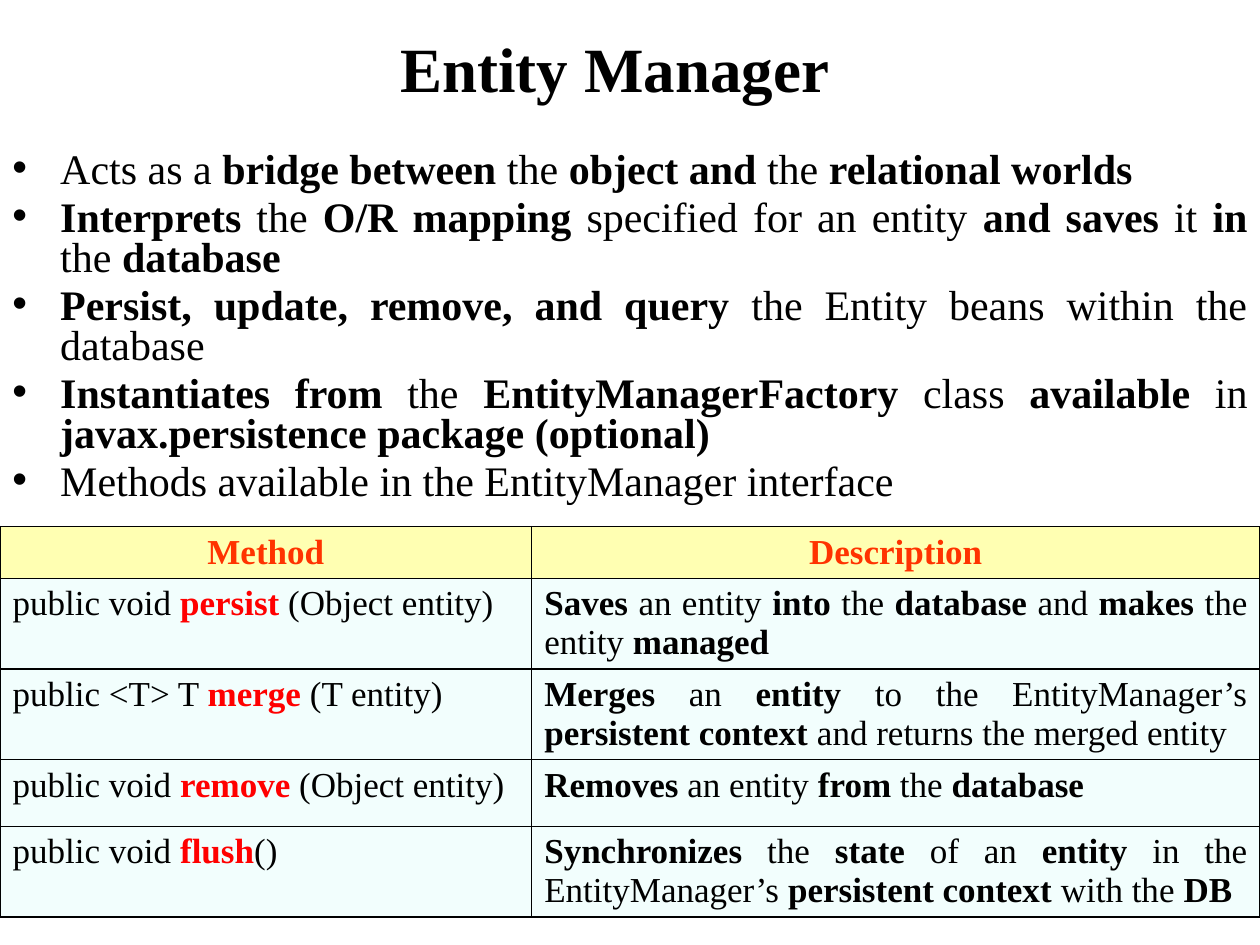
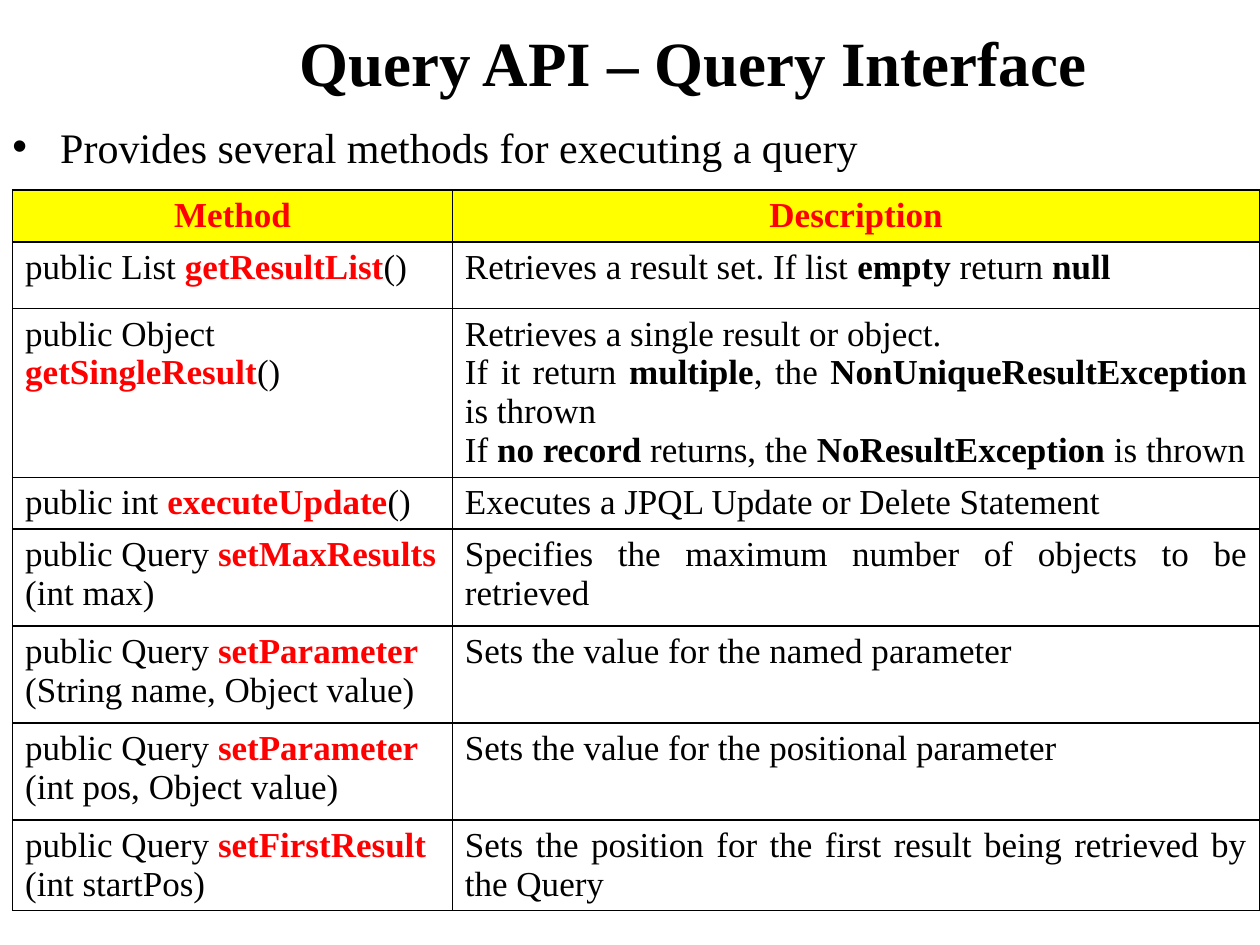
from lxml import etree
from pptx import Presentation
from pptx.dml.color import RGBColor
from pptx.enum.text import MSO_ANCHOR, PP_ALIGN
from pptx.oxml.ns import qn
from pptx.util import Inches, Pt

CENTER, JUSTIFY, LEFT = PP_ALIGN.CENTER, PP_ALIGN.JUSTIFY, PP_ALIGN.LEFT
MIDDLE = MSO_ANCHOR.MIDDLE

FONT = "Times New Roman"
BLACK = RGBColor(0x00, 0x00, 0x00)
WHITE = RGBColor(0xFF, 0xFF, 0xFF)
RED = RGBColor(0xFF, 0x00, 0x00)
ORANGE_RED = RGBColor(0xFF, 0x33, 0x00)
PALE_YELLOW = RGBColor(0xFF, 0xFF, 0x66)
YELLOW = RGBColor(0xFF, 0xFF, 0x00)
PALE_CYAN = RGBColor(0xE6, 0xFE, 0xFD)

TITLE_SIZE, BULLET_SIZE, CELL_SIZE = Pt(36), Pt(24), Pt(20)
TITLE_SPACING, BULLET_SPACING, CELL_SPACING = 0.85, 0.8, Pt(22.1)
TITLE_ONLY = 5

# Text between asterisks is bold; \v breaks a line, \n starts a paragraph
MANAGER_BULLETS = [
    "Acts as a *bridge between* the *object and* the *relational worlds*",
    "*Interprets* the *O/R mapping* specified for an entity *and saves* it *in* the *database*",
    "*Persist, update, remove, and query* the Entity beans within the database",
    "*Instantiates from* the *EntityManagerFactory* class *available* in "
    "*javax.persistence package (optional)*",
    "Methods available in the EntityManager interface",
]
# Each row: height, method, description
MANAGER_METHODS = [
    (0.41, "*Method*", "*Description*"),
    (0.72, "public void *persist* (Object entity)",
     "*Saves* an entity *into* the *database* and *makes* the entity *managed*"),
    (0.72, "public <T> T *merge* (T entity)",
     "*Merges* an *entity* to the EntityManager’s *persistent context* "
     "and returns the merged entity"),
    (0.53, "public void *remove* (Object entity)",
     "*Removes* an entity *from* the *database*"),
    (0.72, "public void *flush*()",
     "*Synchronizes* the *state* of an *entity* in the EntityManager’s "
     "*persistent context* with the *DB*"),
]
QUERY_BULLETS = ["Provides several methods for executing a query"]
QUERY_METHODS = [
    (0.41, "*Method*", "*Description*"),
    (0.53, "public List *getResultList*()",
     "Retrieves a result set. If list *empty* return *null*"),
    (1.34, "public Object \v*getSingleResult*()",
     "Retrieves a single result or object. \n"
     "If it return *multiple*, the *NonUniqueResultException* is thrown\n"
     "If *no record* returns, the *NoResultException* is thrown"),
    (0.41, "public int *executeUpdate*()", "Executes a JPQL Update or Delete Statement"),
    (0.77, "public Query *setMaxResults*\v(int max)",
     "Specifies the maximum number of objects to be retrieved"),
    (0.77, "public Query *setParameter*\v(String name, Object value)",
     "Sets the value for the named parameter"),
    (0.77, "public Query *setParameter*\v(int pos, Object value)",
     "Sets the value for the positional parameter"),
    (0.72, "public Query *setFirstResult* (int startPos)",
     "Sets the position for the first result being retrieved by the Query"),
]


def write_spans(para, text, size, bold_color):
    for index, piece in enumerate(text.split("*")):
        is_bold = index % 2 == 1
        for line_index, line in enumerate(piece.split("\v")):
            if line_index:
                para.add_line_break()
            if not line:
                continue
            span = para.add_run()
            span.text = line
            span.font.name, span.font.size, span.font.bold = FONT, size, is_bold
            span.font.color.rgb = bold_color if is_bold else BLACK


def write_paragraphs(frame, texts, size, align, spacing, bold_color=BLACK):
    for index, text in enumerate(texts):
        para = frame.add_paragraph() if index else frame.paragraphs[0]
        para.alignment = align
        para.line_spacing = spacing
        write_spans(para, text, size, bold_color)


def add_title(page, text, box):
    title = page.shapes.title
    title.left, title.top, title.width, title.height = map(Inches, box)
    title.text_frame.vertical_anchor = MIDDLE
    write_paragraphs(title.text_frame, [f"*{text}*"], TITLE_SIZE, CENTER, TITLE_SPACING)


def add_bullets(page, texts, box):
    frame = page.shapes.add_textbox(*map(Inches, box)).text_frame
    frame.word_wrap = True
    write_paragraphs(frame, texts, BULLET_SIZE, JUSTIFY, BULLET_SPACING)
    for para in frame.paragraphs:
        para.space_before = Pt(4.2)
        props = para._p.get_or_add_pPr()
        props.set("marL", str(Inches(0.38)))
        props.set("indent", str(-Inches(0.38)))
        etree.SubElement(props, qn("a:buFont"), typeface="Arial")
        etree.SubElement(props, qn("a:buChar"), char="•")


def style_cell(cell, fill, opacity):
    props = cell._tc.get_or_add_tcPr()
    for side in ("a:lnL", "a:lnR", "a:lnT", "a:lnB"):
        line = etree.SubElement(props, qn(side), w=str(Pt(1)))
        solid = etree.SubElement(line, qn("a:solidFill"))
        etree.SubElement(solid, qn("a:srgbClr"), val=str(BLACK))
    cell.fill.solid()
    cell.fill.fore_color.rgb = fill
    if opacity < 100:
        color = props.find(qn("a:solidFill")).find(qn("a:srgbClr"))
        etree.SubElement(color, qn("a:alpha"), val=str(opacity * 1000))


def add_method_table(page, methods, corner, widths, header_color, header_fill,
                     body_fill, opacity=100):
    box = (*corner, sum(widths), sum(height for height, *_ in methods))
    table = page.shapes.add_table(len(methods), 2, *map(Inches, box)).table
    table.first_row = table.horz_banding = False
    for column, width in zip(table.columns, widths):
        column.width = Inches(width)
    for row_index, (height, *texts) in enumerate(methods):
        row = table.rows[row_index]
        row.height = Inches(height)
        is_header = row_index == 0
        for cell, text, align, accent in zip(row.cells, texts, (LEFT, JUSTIFY), (RED, BLACK)):
            if is_header:
                align, accent = CENTER, header_color
            write_paragraphs(cell.text_frame, text.split("\n"), CELL_SIZE, align,
                             CELL_SPACING, accent)
            style_cell(cell, header_fill if is_header else body_fill, opacity)


def add_entity_manager(page):
    add_title(page, "Entity Manager", (0.38, 0, 9, 1.16))
    add_bullets(page, MANAGER_BULLETS, (0, 1.16, 10, 3.03))
    add_method_table(page, MANAGER_METHODS, (0, 4.18), (4.22, 5.78),
                     ORANGE_RED, PALE_YELLOW, PALE_CYAN, opacity=50)


def add_query_interface(page):
    add_title(page, "Query API – Query Interface", (1, 0, 9, 1.07))
    add_bullets(page, QUERY_BULLETS, (0, 0.99, 10, 0.43))
    add_method_table(page, QUERY_METHODS, (0.1, 1.51), (3.49, 6.41), RED, YELLOW, WHITE)


def main():
    deck = Presentation()
    deck.slide_width, deck.slide_height = Inches(10), Inches(7.5)
    for build in (add_entity_manager, add_query_interface):
        build(deck.slides.add_slide(deck.slide_layouts[TITLE_ONLY]))
    deck.save("out.pptx")


if __name__ == "__main__":
    main()
